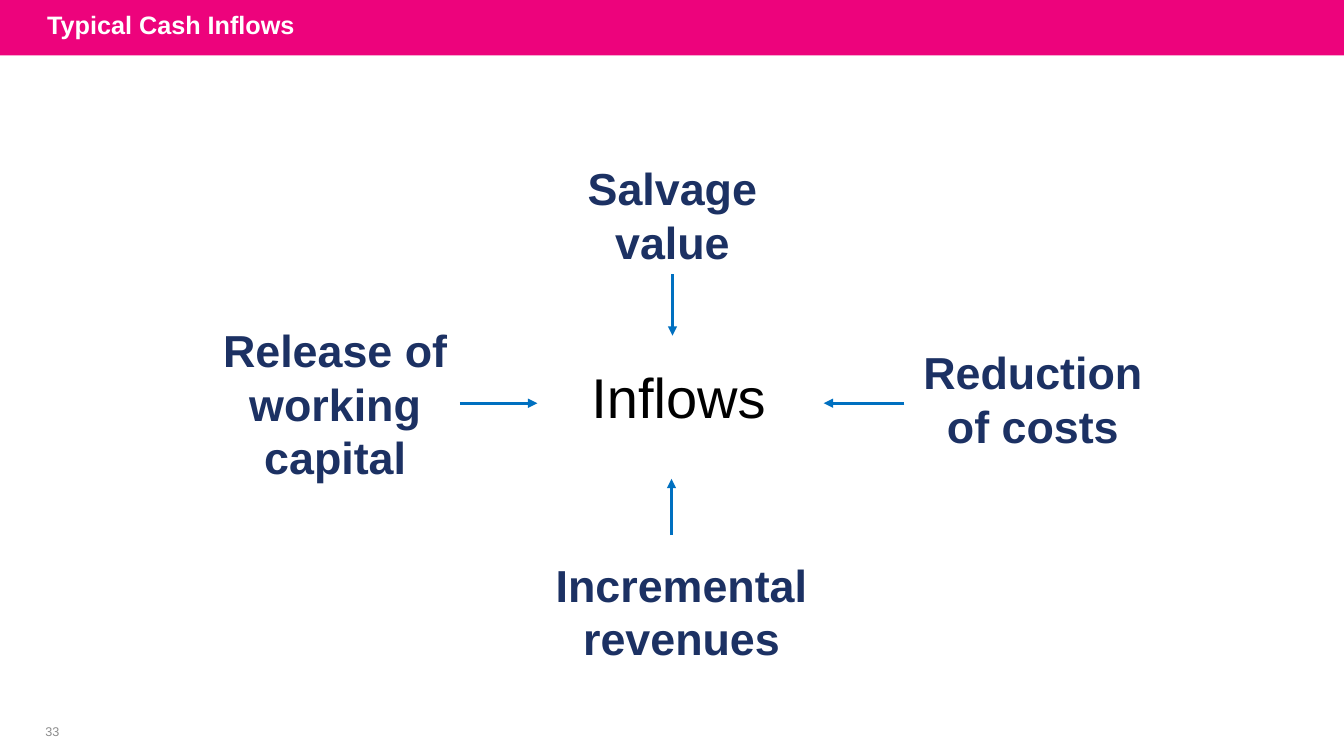
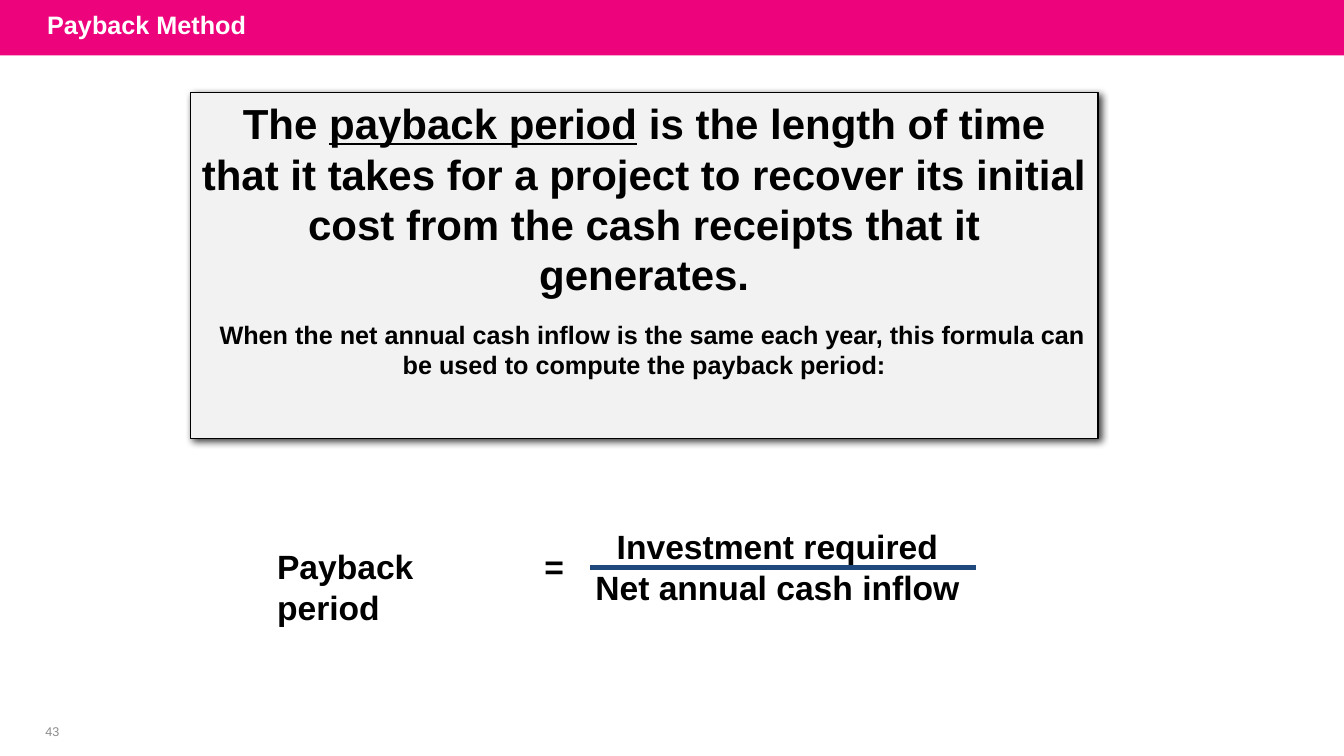
import pptx
import pptx.dml.color
import pptx.enum.shapes
import pptx.enum.text
import pptx.oxml.ns
import pptx.util
from lxml import etree

Inches = pptx.util.Inches
ALIGN = pptx.enum.text.PP_ALIGN
ANCHOR = pptx.enum.text.MSO_ANCHOR
qn = pptx.oxml.ns.qn

FONT = "Arial"
COLORS = {
    "band": "ED037C",
    "white": "FFFFFF",
    "navy": "1C3163",
    "arrow": "0070C0",
    "fraction": "1F497D",
    "panel": "F2F2F2",
    "black": "000000",
    "grey": "8C8C8C",
}


def rgb(name):
    return pptx.dml.color.RGBColor.from_string(COLORS[name])


# Text
def add_span(para, text, size, color="black", bold=False, underline=False):
    span = para.add_run()
    span.text = text
    font = span.font
    font.name, font.size = FONT, pptx.util.Pt(size)
    font.bold, font.underline = bold, underline
    font.color.rgb = rgb(color)


def add_text(page, lines, place, align=ALIGN.LEFT, anchor=ANCHOR.TOP,
             wrap=False, **style):
    box = page.shapes.add_textbox(*map(Inches, place))
    frame = box.text_frame
    frame.word_wrap = wrap
    frame.vertical_anchor = anchor
    for index, line in enumerate(lines):
        para = frame.add_paragraph() if index else frame.paragraphs[0]
        para.alignment = align
        add_span(para, line, **style)
    return box


# Shapes and lines
def add_rectangle(page, place, fill, line=None):
    rectangle = page.shapes.add_shape(
        pptx.enum.shapes.MSO_SHAPE.RECTANGLE, *map(Inches, place))
    rectangle.shadow.inherit = False
    rectangle.fill.solid()
    rectangle.fill.fore_color.rgb = rgb(fill)
    if line:
        rectangle.line.color.rgb = rgb(line)
        rectangle.line.width = pptx.util.Pt(1)
    else:
        rectangle.line.fill.background()
    return rectangle


def add_drop_shadow(shape):
    effects = shape.element.spPr.find(qn("a:effectLst"))
    shadow = etree.SubElement(
        effects, qn("a:outerShdw"), blurRad=str(pptx.util.Pt(5)),
        dist=str(pptx.util.Pt(3)), dir="2700000", algn="tl", rotWithShape="0")
    color = etree.SubElement(shadow, qn("a:srgbClr"), val=COLORS["black"])
    etree.SubElement(color, qn("a:alpha"), val="75000")


def add_line(page, start, end, color, width, arrow=False):
    line = page.shapes.add_connector(
        pptx.enum.shapes.MSO_CONNECTOR.STRAIGHT, *map(Inches, start + end))
    line.line.color.rgb = rgb(color)
    line.line.width = pptx.util.Pt(width)
    properties = line.element.spPr
    if arrow:
        etree.SubElement(properties.find(qn("a:ln")), qn("a:tailEnd"),
                         type="triangle")
    etree.SubElement(properties, qn("a:effectLst"))
    return line


# Band, title and page number shared by the slides
def add_page(deck, title, number):
    page = deck.slides.add_slide(deck.slide_layouts[6])
    add_rectangle(page, (0, 0, 13.33, 0.55), "band")
    add_text(page, [title], (0.37, -0.03, 10.5, 0.55), anchor=ANCHOR.MIDDLE,
             wrap=True, size=18, color="white", bold=True)
    add_text(page, [number], (0.26, 7.14, 0.52, 0.24), align=ALIGN.CENTER,
             anchor=ANCHOR.MIDDLE, wrap=True, size=9, color="grey")
    return page


def add_inflows(page):
    # Label lines, label place, arrow start, arrow end, joined label side
    inflows = [
        (["Reduction", "of costs"], (9.05, 3.37, 2.39, 1.18),
         (8.97, 4), (8.17, 4), None),
        (["Salvage", "value"], (5.73, 1.55, 1.88, 1.17),
         (6.67, 2.72), (6.67, 3.33), 2),
        (["Incremental", "revenues"], (5.4, 5.48, 2.72, 1.18),
         (6.66, 5.31), (6.66, 4.75), None),
        (["Release of", "working", "capital"], (2.09, 3.15, 2.47, 1.7),
         (4.56, 4), (5.33, 4), 3),
    ]
    for lines, place, start, end, side in inflows:
        label = add_text(page, lines, place, align=ALIGN.CENTER,
                         size=32, color="navy", bold=True)
        arrow = add_line(page, start, end, "arrow", 2.25, arrow=True)
        if side is not None:
            arrow.begin_connect(label, side)
    add_text(page, ["Inflows"], (5.48, 3.55, 2.5, 0.77), align=ALIGN.CENTER,
             wrap=True, size=40)


def add_definition(page):
    panel = add_rectangle(page, (1.89, 0.92, 9, 3.43), "panel", "black")
    add_drop_shadow(panel)
    frame = panel.text_frame
    frame.word_wrap = True
    frame.vertical_anchor = ANCHOR.TOP
    meaning, usage = frame.paragraphs[0], frame.add_paragraph()
    for para in (meaning, usage):
        para.alignment = ALIGN.CENTER
        para.space_after = pptx.util.Pt(6)
    add_span(meaning, "The ", 30, bold=True)
    add_span(meaning, "payback period", 30, bold=True, underline=True)
    add_span(meaning, " is the length of time that it takes for a project to "
             "recover its initial cost from the cash receipts that it "
             "generates.", 30, bold=True)
    usage.space_before = pptx.util.Pt(8)
    usage.element.get_or_add_pPr().set("indent", str(Inches(0.16))) \
        if hasattr(usage, "element") else \
        usage._p.get_or_add_pPr().set("indent", str(Inches(0.16)))
    add_span(usage, "When the net annual cash inflow is the same each year, "
             "this formula can be used to compute the payback period:",
             18, bold=True)


def add_formula(page):
    style = {"size": 24, "bold": True}
    add_text(page, ["Payback period"], (2.65, 5.37, 2.66, 0.5), **style)
    add_text(page, ["="], (5.3, 5.37, 0.4, 0.5), **style)
    add_text(page, ["Investment required", "Net annual cash inflow"],
             (5.57, 5.17, 4.28, 0.91), align=ALIGN.CENTER, **style)
    add_line(page, (5.85, 5.63), (9.68, 5.63), "fraction", 3)


def main():
    deck = pptx.Presentation()
    deck.slide_width, deck.slide_height = Inches(13.33), Inches(7.5)

    add_inflows(add_page(deck, "Typical Cash Inflows", "33"))

    payback = add_page(deck, "Payback Method", "43")
    add_definition(payback)
    add_formula(payback)

    deck.save("out.pptx")


if __name__ == "__main__":
    main()
